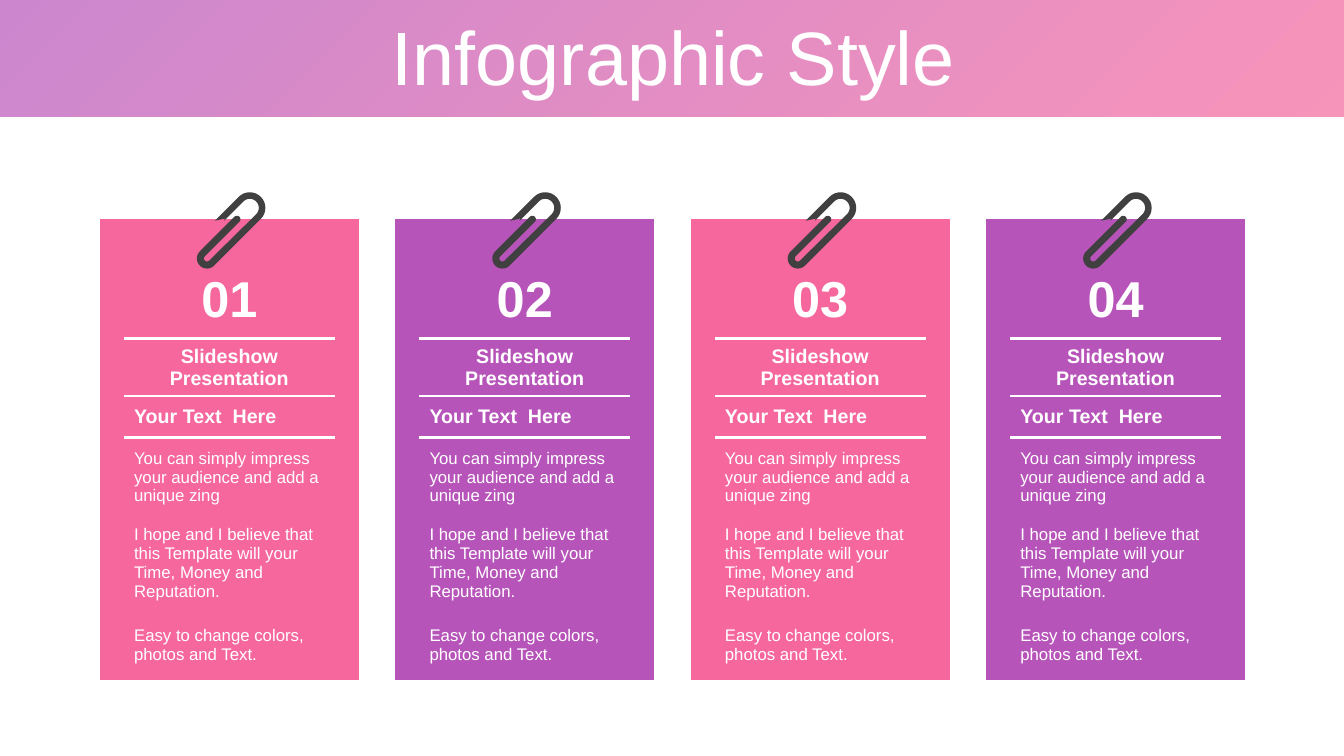
from dataclasses import dataclass
from math import cos, pi, sin

from lxml.etree import SubElement
from pptx import Presentation
from pptx.dml.color import RGBColor
from pptx.enum.shapes import MSO_SHAPE as Preset
from pptx.enum.text import MSO_ANCHOR as Anchor, MSO_AUTO_SIZE as AutoSize, PP_ALIGN as Align
from pptx.oxml.ns import qn
from pptx.util import Inches, Pt


@dataclass(frozen=True)
class Theme:
    font: str = "Arial"
    pink: RGBColor = RGBColor(0xF5, 0x67, 0x9D)
    purple: RGBColor = RGBColor(0xB7, 0x54, 0xBA)
    white: RGBColor = RGBColor(0xFF, 0xFF, 0xFF)
    clip: RGBColor = RGBColor(0x40, 0x40, 0x40)
    title: int = 54
    number: int = 36
    heading: int = 14
    body: int = 12
    rule: float = 2.25
    banner_opacity: int = 70


THEME = Theme()
NO_GRID_STYLE = "{2D5ABB26-0587-4C30-8999-92F81FD0307C}"
COLUMNS = (0.24, 2.09, 0.23)
ROWS = (0.42, 0.77, 0.57, 0.41, 0.79, 0.92, 0.7)
CARD_COUNT = 4
CARD_LEFT, CARD_TOP, CARD_STEP = 0.99, 2.17, 2.93
CLIP_OFFSET_X, CLIP_OFFSET_Y = 1.12, -0.35


def style_text(para, size, bold=False, align=Align.LEFT):
    para.alignment = align
    para.font.name = THEME.font
    para.font.size = Pt(size)
    para.font.bold = bold
    para.font.color.rgb = THEME.white


def add_banner(page, left, top, width, height):
    banner = page.shapes.add_shape(
        Preset.RECTANGLE, Inches(left), Inches(top), Inches(width), Inches(height))
    banner.shadow.inherit = False
    banner.line.fill.background()
    banner.fill.gradient()
    banner.fill.gradient_angle = 135
    for stop, color in zip(banner.fill.gradient_stops, (THEME.pink, THEME.purple)):
        stop.color.rgb = color
    for color in banner._element.spPr.iter(qn("a:srgbClr")):
        SubElement(color, qn("a:alpha"), val=str(THEME.banner_opacity * 1000))
    page.shapes._spTree.insert(2, banner._element)

    title = page.shapes.title
    title.left, title.top = Inches(left + 0.35), Inches(top + 0.21)
    title.width, title.height = Inches(width - 0.67), Inches(height - 0.37)
    frame = title.text_frame
    frame.text = "Infographic Style"
    frame.auto_size = AutoSize.NONE
    frame.word_wrap = True
    frame.vertical_anchor = Anchor.MIDDLE
    para = frame.paragraphs[0]
    para.line_spacing = 0.9
    style_text(para, THEME.title, align=Align.CENTER)


def add_cell_border(cell, side):
    line = SubElement(cell._tc.get_or_add_tcPr(), qn(f"a:ln{side}"),
                      w=str(Pt(THEME.rule)))
    fill = SubElement(line, qn("a:solidFill"))
    SubElement(fill, qn("a:srgbClr"), val=str(THEME.white))


def add_card(page, left, top, number, color):
    rows = {
        1: (f"{number:02d}", THEME.number, True, Align.CENTER, "B"),
        2: ("Slideshow Presentation", THEME.heading, True, Align.CENTER, "TB"),
        3: ("Your Text  Here", THEME.heading, True, Align.LEFT, "T"),
        4: ("You can simply impress your audience and add a unique zing",
            THEME.body, False, Align.LEFT, ""),
        5: ("I hope and I believe that this Template will your Time, Money and Reputation.",
            THEME.body, False, Align.LEFT, ""),
        6: ("Easy to change colors, photos and Text.", THEME.body, False, Align.LEFT, ""),
    }
    graphic = page.shapes.add_table(
        len(ROWS), len(COLUMNS), Inches(left), Inches(top),
        Inches(sum(COLUMNS)), Inches(sum(ROWS)))
    table = graphic.table
    table.first_row = table.horz_banding = False
    table._tbl.tblPr.find(qn("a:tableStyleId")).text = NO_GRID_STYLE
    for column, width in zip(table.columns, COLUMNS):
        column.width = Inches(width)
    for row, height in zip(table.rows, ROWS):
        row.height = Inches(height)
    for index, (text, size, bold, align, borders) in rows.items():
        cell = table.cell(index, 1)
        cell.text = text
        cell.vertical_anchor = Anchor.MIDDLE
        style_text(cell.text_frame.paragraphs[0], size, bold, align)
        for side in borders:
            add_cell_border(cell, side)
    for cell in table.iter_cells():
        cell.fill.solid()
        cell.fill.fore_color.rgb = color


def arc(x, y, radius, start, end, steps=16):
    angles = (start + (end - start) * step / steps for step in range(steps + 1))
    return [(x + radius * cos(angle), y + radius * sin(angle)) for angle in angles]


def add_paperclip(page, left, top):
    outline = [
        *arc(0.155, 0.155, 0.155, pi, 2 * pi),
        *arc(0.21, 0.81, 0.1, 0, pi),
        *arc(0.145, 0.325, 0.035, pi, 2 * pi),
        *arc(0.21, 0.81, 0.03, pi, 0),
        *arc(0.155, 0.155, 0.09, 0, -pi),
        (0.065, 0.425), (0.055, 0.405), (0, 0.49),
    ]
    points = [(Inches(x), Inches(y)) for x, y in outline]
    builder = page.shapes.build_freeform(*points[0])
    builder.add_line_segments(points[1:], close=True)
    clip = builder.convert_to_shape(Inches(left), Inches(top))
    clip.rotation = 45
    clip.shadow.inherit = False
    clip.fill.solid()
    clip.fill.fore_color.rgb = THEME.clip
    clip.line.fill.background()


def main():
    deck = Presentation()
    deck.slide_width, deck.slide_height = Inches(13.33), Inches(7.5)
    page = deck.slides.add_slide(deck.slide_layouts[5])
    add_banner(page, 0, 0, 13.33, 1.16)
    for index in range(CARD_COUNT):
        left = CARD_LEFT + index * CARD_STEP
        color = THEME.purple if index % 2 else THEME.pink
        add_card(page, left, CARD_TOP, index + 1, color)
        add_paperclip(page, left + CLIP_OFFSET_X, CARD_TOP + CLIP_OFFSET_Y)
    deck.save("out.pptx")


if __name__ == "__main__":
    main()
